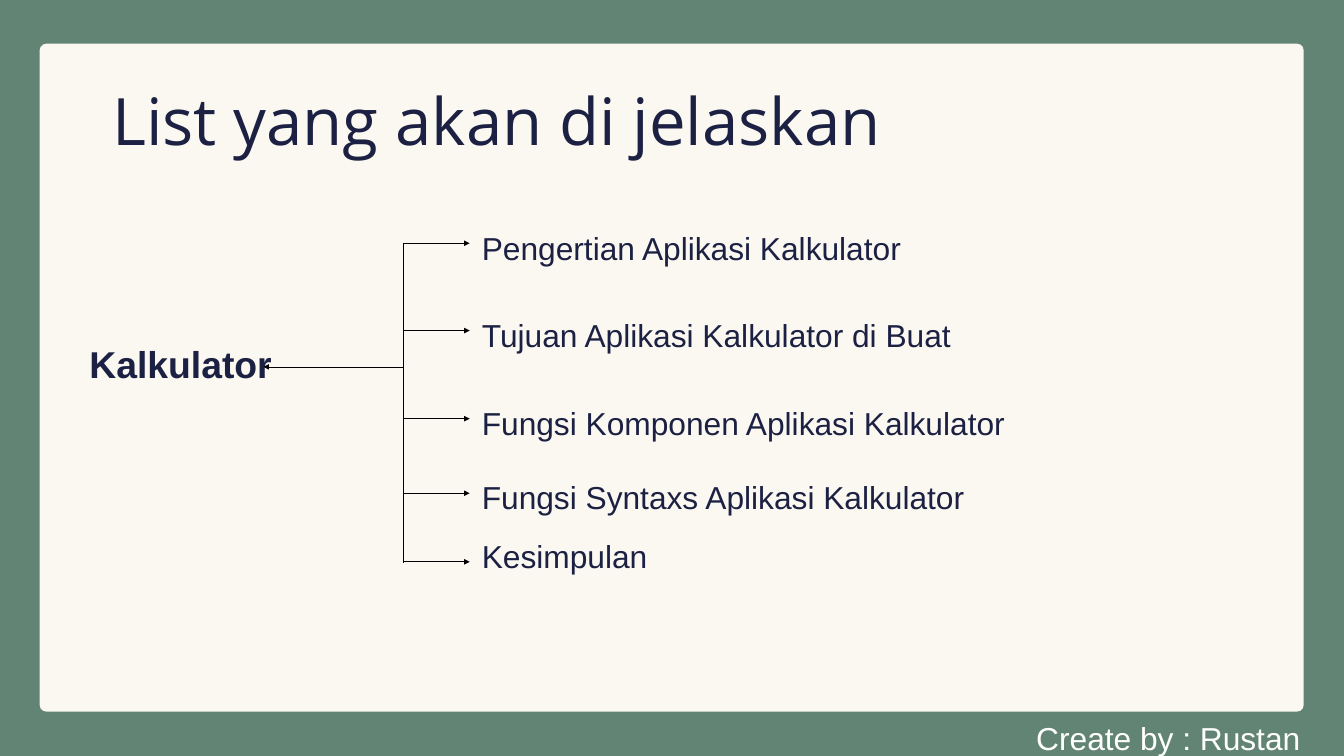
"""Build the overview slide of the calculator presentation."""
from dataclasses import dataclass

from lxml.etree import SubElement
from pptx import Presentation
from pptx.dml.color import RGBColor
from pptx.enum.shapes import MSO_CONNECTOR, MSO_SHAPE
from pptx.enum.text import MSO_AUTO_SIZE
from pptx.oxml.ns import qn
from pptx.util import Inches, Pt


@dataclass(frozen=True)
class Theme:
    green: RGBColor = RGBColor.from_string("628474")
    cream: RGBColor = RGBColor.from_string("FAF8F0")
    navy: RGBColor = RGBColor.from_string("1C2143")
    white: RGBColor = RGBColor.from_string("FFFFFF")
    black: RGBColor = RGBColor.from_string("000000")
    title_font: str = "Open Sans"
    body_font: str = "Arial"
    title_size: float = 70
    root_size: float = 40
    body_size: float = 34
    title_leading: float = 89.2
    body_leading: float = 47.6
    line_width: float = 0.75


theme = Theme()
presentation = Presentation()
presentation.slide_width = Inches(20)
presentation.slide_height = Inches(11.25)
slide = presentation.slides.add_slide(presentation.slide_layouts[6])
slide.background.fill.solid()
slide.background.fill.fore_color.rgb = theme.green


def add_label(text, left, top, width, height, size=theme.body_size, color=theme.navy,
              font=theme.body_font, leading=theme.body_leading, bold=False):
    label = slide.shapes.add_textbox(Inches(left), Inches(top), Inches(width), Inches(height))
    frame = label.text_frame
    frame.margin_left = frame.margin_right = frame.margin_top = frame.margin_bottom = 0
    frame.word_wrap = True
    frame.auto_size = MSO_AUTO_SIZE.SHAPE_TO_FIT_TEXT
    paragraph = frame.paragraphs[0]
    paragraph.text = text
    paragraph.line_spacing = Pt(leading)
    paragraph.font.name = font
    paragraph.font.size = Pt(size)
    paragraph.font.bold = bold
    paragraph.font.color.rgb = color


def add_branch(start_x, start_y, end_x, end_y, arrow=True):
    branch = slide.shapes.add_connector(
        MSO_CONNECTOR.STRAIGHT, Inches(start_x), Inches(start_y), Inches(end_x), Inches(end_y))
    branch.line.color.rgb = theme.black
    branch.line.width = Pt(theme.line_width)
    if arrow:
        SubElement(branch.line._get_or_add_ln(), qn("a:tailEnd"), type="triangle")
    SubElement(branch._element.spPr, qn("a:effectLst"))


panel = slide.shapes.add_shape(
    MSO_SHAPE.ROUNDED_RECTANGLE, Inches(0.59), Inches(0.65), Inches(18.81), Inches(9.94))
panel.adjustments[0] = 0.01
panel.shadow.inherit = False
panel.fill.solid()
panel.fill.fore_color.rgb = theme.cream
panel.line.fill.background()

add_label("List yang akan di jelaskan", 1.67, 1.12, 15.58, 1.19, size=theme.title_size,
          font=theme.title_font, leading=theme.title_leading)
add_label("Kalkulator", 1.33, 5.08, 5.65, 0.67, size=theme.root_size, bold=True)

trunk_x, arrow_x, topic_x = 6, 6.99, 7.17
topics = [
    ("Pengertian Aplikasi Kalkulator", 3.31, 3.62),
    ("Tujuan Aplikasi Kalkulator di Buat", 4.61, 4.92),
    ("Fungsi Komponen Aplikasi Kalkulator", 5.92, 6.23),
    ("Fungsi Syntaxs Aplikasi Kalkulator", 7.01, 7.34),
    ("Kesimpulan", 7.9, 8.36),
]
for topic, topic_y, branch_y in topics:
    add_label(topic, topic_x, topic_y, 7.91, 0.62)
    add_branch(trunk_x, branch_y, arrow_x, branch_y)

add_branch(trunk_x, 5.46, 3.92, 5.46)
add_branch(trunk_x, 3.62, trunk_x, 8.38, arrow=False)
add_label("Create by : Rustan", 15.42, 10.6, 5.65, 0.63, color=theme.white)

presentation.save("out.pptx")
